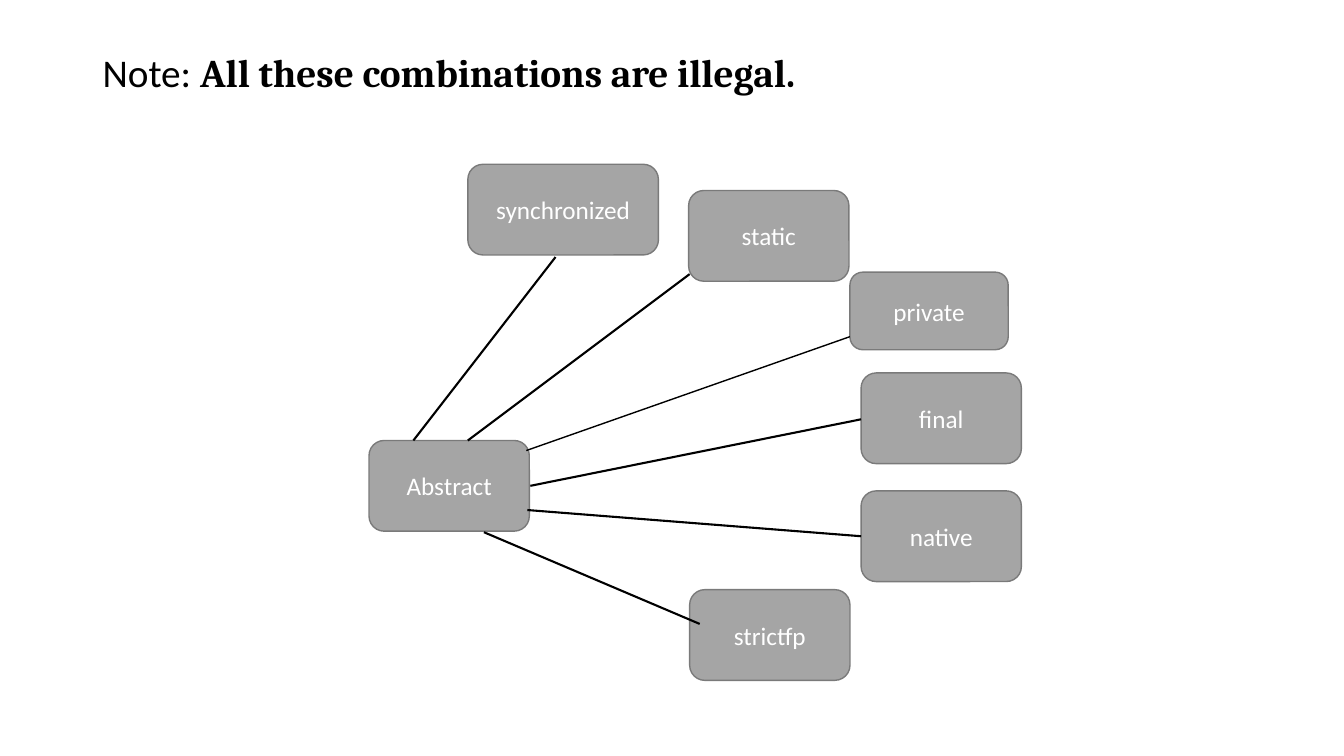
from dataclasses import dataclass

from pptx import Presentation
from pptx.dml.color import RGBColor
from pptx.enum.shapes import MSO_CONNECTOR, MSO_SHAPE
from pptx.enum.text import MSO_ANCHOR, PP_ALIGN
from pptx.oxml.ns import qn
from pptx.slide import Slide
from pptx.util import Emu, Pt

ROUND = MSO_SHAPE.ROUNDED_RECTANGLE
LINE = MSO_CONNECTOR.STRAIGHT
MIDDLE = MSO_ANCHOR.MIDDLE
CENTER = PP_ALIGN.CENTER

SCALE = 9144  # EMU per px, 100 px to the inch
GREY, EDGE, BLACK, WHITE = "A5A5A5", "7A7A7A", "000000", "FFFFFF"


@dataclass(frozen=True)
class Box:
    label: str
    left: int
    top: int
    width: int = 159
    height: int = 90


@dataclass(frozen=True)
class Link:
    """A line from the Abstract box to a modifier box."""
    x1: int
    y1: int
    x2: int
    y2: int
    weight: float = 1.5


BOXES = [
    Box("Abstract", 366, 437),
    Box("synchronized", 464, 163, width=189),
    Box("static", 683, 189),
    Box("private", 843, 270, width=157, height=77),
    Box("final", 854, 370),
    Box("native", 854, 487),
    Box("strictfp", 684, 585),
]

LINKS = [
    Link(410, 437, 551, 255),
    Link(464, 437, 684, 272),
    Link(522, 447, 843, 334, weight=1),
    Link(526, 482, 854, 416),
    Link(523, 506, 854, 532),
    Link(480, 528, 694, 619),
]

TITLE = [
    ("Note: ", {"name": "Calibri", "size": Pt(28)}),
    ("All these combinations are illegal.",
     {"name": "Cambria", "size": Pt(28), "bold": True}),
]
LABEL = {"name": "Calibri", "size": Pt(18)}


def px(*sizes: int) -> list[Emu]:
    return [Emu(size * SCALE) for size in sizes]


def color(code: str) -> RGBColor:
    return RGBColor.from_string(code)


def add_run(para, text: str, style: dict, code: str) -> None:
    run = para.add_run()
    run.text = text
    for key, value in style.items():
        setattr(run.font, key, value)
    run.font.color.rgb = color(code)


def add_title(slide: Slide) -> None:
    frame = slide.shapes.add_textbox(*px(92, 48, 1150, 683)).text_frame
    frame.word_wrap = True
    para = frame.paragraphs[0]
    para.line_spacing = 0.9
    para.space_before = Pt(10)
    for text, style in TITLE:
        add_run(para, text, style, BLACK)


def add_box(slide: Slide, box: Box) -> None:
    shape = slide.shapes.add_shape(
        ROUND, *px(box.left, box.top, box.width, box.height))
    shape.shadow.inherit = False
    shape.fill.solid()
    shape.fill.fore_color.rgb = color(GREY)
    shape.line.color.rgb = color(EDGE)
    shape.line.width = Pt(1)
    frame = shape.text_frame
    frame.word_wrap = True
    frame.vertical_anchor = MIDDLE
    para = frame.paragraphs[0]
    para.alignment = CENTER
    add_run(para, box.label, LABEL, WHITE)


def add_link(slide: Slide, link: Link) -> None:
    wire = slide.shapes.add_connector(
        LINE, *px(link.x1, link.y1, link.x2, link.y2))
    wire.line.color.rgb = color(BLACK)
    wire.line.width = Pt(link.weight)
    props = wire._element.spPr
    props.append(props.makeelement(qn("a:effectLst"), {}))


def main() -> None:
    deck = Presentation()
    deck.slide_width, deck.slide_height = px(1333, 750)
    slide = deck.slides.add_slide(deck.slide_layouts[6])
    add_title(slide)
    for box in BOXES:
        add_box(slide, box)
    for link in LINKS:
        add_link(slide, link)
    deck.save("out.pptx")


if __name__ == "__main__":
    main()
